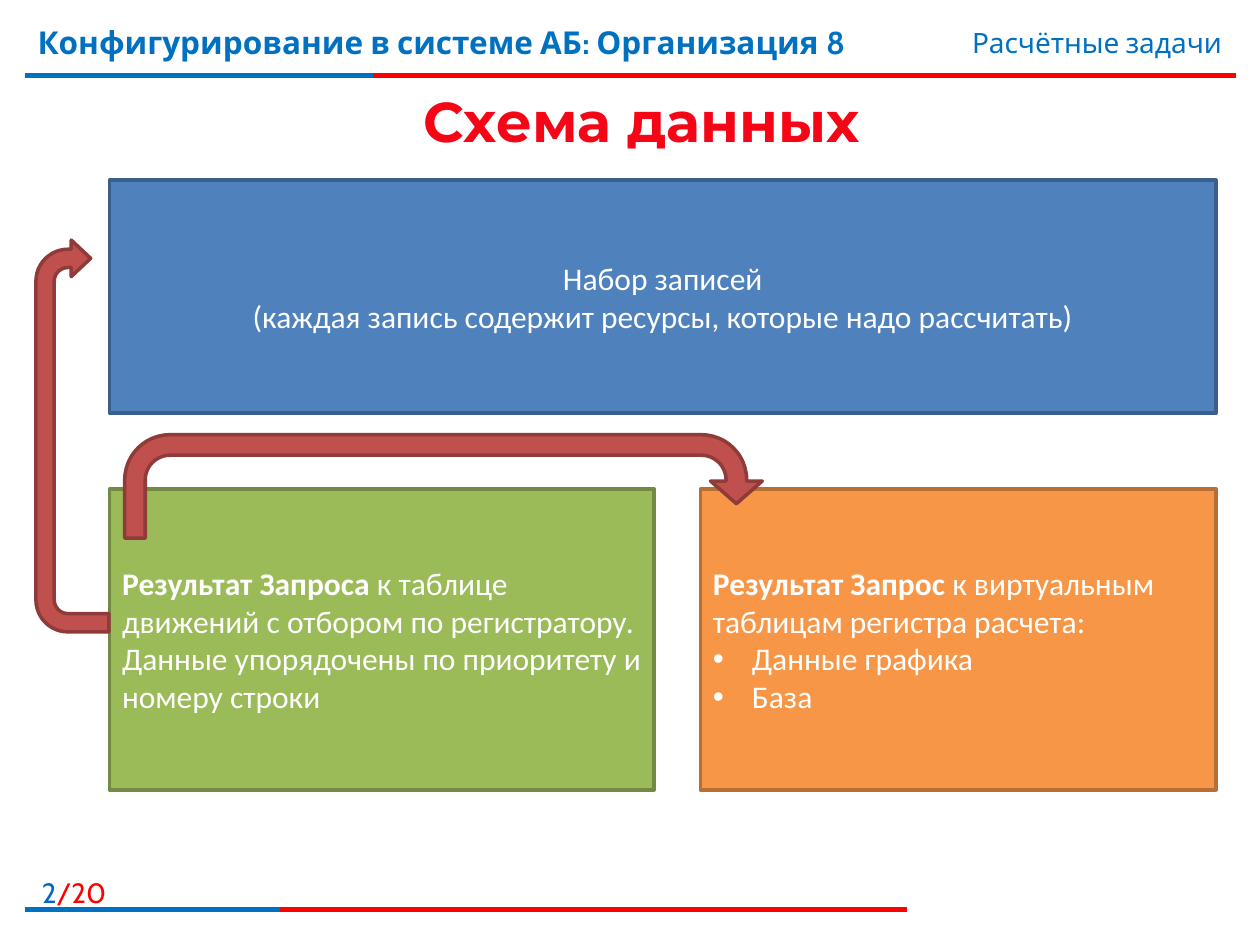
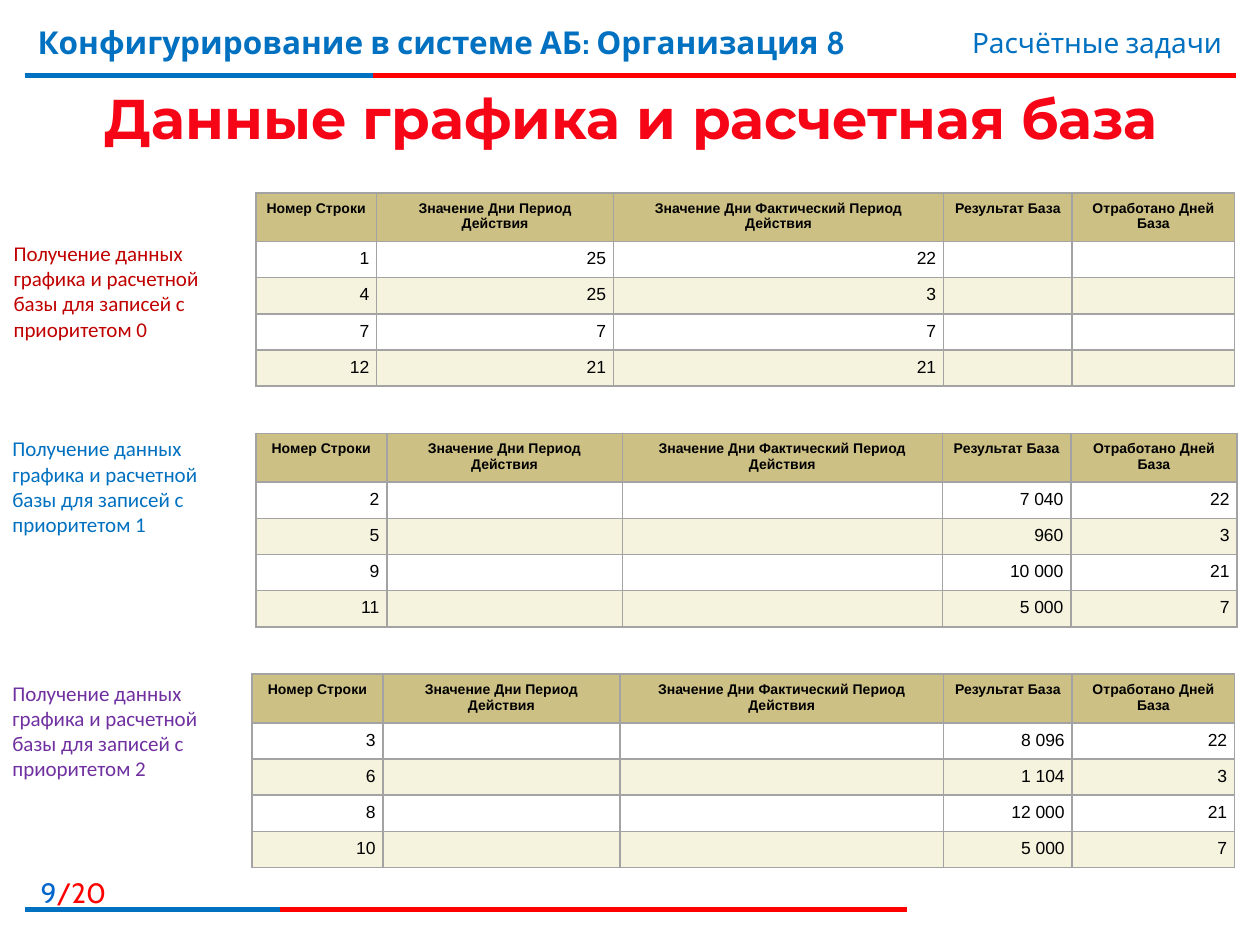
"""Build two slides on payroll calculation: a data scheme and three result tables."""
from lxml.etree import SubElement
from pptx import Presentation
from pptx.dml.color import RGBColor
from pptx.enum.shapes import MSO_CONNECTOR, MSO_SHAPE
from pptx.enum.text import MSO_ANCHOR, MSO_AUTO_SIZE, PP_ALIGN
from pptx.oxml import parse_xml
from pptx.oxml.ns import nsdecls, qn
from pptx.util import Inches, Pt

COLORS = {
    "blue": "0070C0", "page": "0066CC", "red": "FF0000", "title": "F50516",
    "white": "FFFFFF", "black": "000000",
    "set": "4F81BD", "set_line": "3A5F8C",
    "moves": "9BBB59", "moves_line": "738A42",
    "virtual": "F79646", "virtual_line": "B76F34",
    "arrow": "C0504D", "arrow_line": "8E3B39",
    "head": "CCC085", "band": "F5F2DD", "border": "A3A3A3",
    "priority0": "C00000", "priority1": "0070C0", "priority2": "7030A0",
}

COURSE = "Конфигурирование в системе АБ: Организация 8"
TOPIC = "Расчётные задачи"
TOTAL_PAGES = 20
RULES = [(0.6, 9.81, 2.96), (7.22, 7.2, 2.22)]
RULE_LEFT = 0.2

BOXES = [
    ("set", (0.87, 1.43, 8.78, 1.85), PP_ALIGN.CENTER,
     [("", "Набор записей\n(каждая запись содержит ресурсы, которые надо рассчитать)")], []),
    ("moves", (0.87, 3.88, 4.32, 2.39), PP_ALIGN.LEFT,
     [("Результат Запроса", " к таблице движений с отбором по регистратору.\n"
       "Данные упорядочены по приоритету и номеру строки")], []),
    ("virtual", (5.56, 3.88, 4.09, 2.39), PP_ALIGN.LEFT,
     [("Результат Запрос", " к виртуальным таблицам регистра расчета:")],
     ["Данные графика", "База"]),
]
ARROWS = [
    ((-0.98, 3.17, 3.11, 0.58), 270, (0.25, 0.25, 0.266, 0.438, 0.75)),
    ((0.99, 3.45, 5.06, 0.82), 0, (0.199, 0.25, 0.219, 0.438, 0.668)),
]

HEADINGS = ["Номер Строки", "Значение Дни Период Действия",
            "Значение Дни Фактический Период Действия",
            "Результат База", "Отработано Дней База"]
LABEL = "Получение данных графика и расчетной базы для записей с приоритетом {}"
TABLES = [
    {"left": 2.03, "label": (0.01, 1.86), "cols": [0.96, 1.88, 2.62, 1.02, 1.29],
     "rows": [(1, 25, 22, None, None), (4, 25, 3, None, None),
              (7, 7, 7, None, None), (12, 21, 21, None, None)]},
    {"left": 2.03, "label": (0, 3.41), "cols": [1.04, 1.87, 2.54, 1.02, 1.32],
     "rows": [(2, None, None, 7040, 22), (5, None, None, 960, 3),
              (9, None, None, 10000, 21), (11, None, None, 5000, 7)]},
    {"left": 2, "label": (0, 5.35), "cols": [1.04, 1.88, 2.57, 1.02, 1.29],
     "rows": [(3, None, None, 8096, 22), (6, None, None, 1104, 3),
              (8, None, None, 12000, 21), (10, None, None, 5000, 7)]},
]
TABLE_TOP, TABLE_STEP = 1.53, 1.91
HEAD_HEIGHT, ROW_HEIGHT = 0.36, 0.27


def rgb(name):
    return RGBColor.from_string(COLORS[name])


def inches(values):
    return [Inches(v) for v in values]


def add_text(p, text, size, font, color, bold=False):
    for i, line in enumerate(text.split("\n")):
        if i:
            p.add_line_break()
        r = p.add_run()
        r.text = line
        r.font.size, r.font.name, r.font.bold = Pt(size), font, bold
        r.font.color.rgb = rgb(color)


def add_textbox(slide, box, pieces, size, font, align=PP_ALIGN.LEFT, bold=False):
    tf = slide.shapes.add_textbox(*inches(box)).text_frame
    tf.word_wrap = True
    p = tf.paragraphs[0]
    p.alignment = align
    for text, color in pieces:
        add_text(p, text, size, font, color, bold)


def add_rule(slide, y, end, color):
    line = slide.shapes.add_connector(
        MSO_CONNECTOR.STRAIGHT, *inches((RULE_LEFT, y, end, y)))
    line.line.color.rgb = rgb(color)
    line.line.width = Pt(3)
    SubElement(line._element.spPr, qn("a:effectLst"))


def add_slide(prs, title, page, left, top):
    slide = prs.slides.add_slide(prs.slide_layouts[5])
    for y, red_end, blue_end in RULES:
        add_rule(slide, y, red_end, "red")
        add_rule(slide, y, blue_end, "blue")
    add_textbox(slide, (0, 6.9, 0.94, 0.32),
                [(str(page), "page"), (f"/{TOTAL_PAGES}", "red")],
                16, "Cabin", PP_ALIGN.RIGHT)
    add_textbox(slide, (0.2, 0.13, 7.4, 0.62), [(COURSE, "blue")], 18, "Cabin", bold=True)
    add_textbox(slide, (5.94, 0.15, 3.86, 0.37), [(TOPIC, "blue")],
                16, "Cabin", PP_ALIGN.RIGHT)
    sp = slide.shapes.title
    sp.left, sp.top, sp.width, sp.height = inches((left, top, 9.61, 0.6))
    tf = sp.text_frame
    tf.auto_size = MSO_AUTO_SIZE.NONE
    tf.vertical_anchor = MSO_ANCHOR.MIDDLE
    p = tf.paragraphs[0]
    p.alignment = PP_ALIGN.CENTER
    add_text(p, title, 32, "Montserrat", "title", True)
    return slide


def add_shape(slide, kind, box, color):
    sp = slide.shapes.add_shape(kind, *inches(box))
    sp.shadow.inherit = False
    sp.fill.solid()
    sp.fill.fore_color.rgb = rgb(color)
    sp.line.color.rgb = rgb(color + "_line")
    sp.line.width = Pt(2)
    return sp


def set_bullet(p):
    pPr = p._p.get_or_add_pPr()
    pPr.set("marL", str(Inches(0.31)))
    pPr.set("indent", str(-Inches(0.31)))
    SubElement(pPr, qn("a:buFont")).set("typeface", "Arial")
    SubElement(pPr, qn("a:buChar")).set("char", "•")


def add_box(slide, color, box, align, lead_lines, bullets):
    tf = add_shape(slide, MSO_SHAPE.RECTANGLE, box, color).text_frame
    tf.word_wrap = True
    tf.vertical_anchor = MSO_ANCHOR.MIDDLE
    p = tf.paragraphs[0]
    p.alignment = align
    for lead, rest in lead_lines:
        if lead:
            add_text(p, lead, 18, "Calibri", "white", True)
        add_text(p, rest, 18, "Calibri", "white")
    for bullet in bullets:
        p = tf.add_paragraph()
        p.alignment = align
        set_bullet(p)
        add_text(p, bullet, 18, "Calibri", "white")


def format_cell(cell, text, is_head, fill):
    cell.margin_left = cell.margin_right = Inches(0.06)
    cell.margin_top = cell.margin_bottom = Inches(0.06)
    cell.fill.solid()
    cell.fill.fore_color.rgb = rgb(fill)
    p = cell.text_frame.paragraphs[0]
    p.alignment = PP_ALIGN.CENTER if is_head else PP_ALIGN.RIGHT
    size = 8 if is_head else 10
    if text:
        add_text(p, text, size, "Arial", "black", is_head)
    p._p.get_or_add_endParaRPr().set("sz", str(size * 100))
    tcPr = cell._tc.get_or_add_tcPr()
    for i, side in enumerate("LRTB"):
        tcPr.insert(i, parse_xml(
            f'<a:ln{side} {nsdecls("a")} w="{Pt(1)}"><a:solidFill>'
            f'<a:srgbClr val="{COLORS["border"]}"/></a:solidFill></a:ln{side}>'))


def format_number(value):
    return "" if value is None else f"{value:,}".replace(",", chr(160))


def add_result_table(slide, top, spec_table):
    cols, rows = spec_table["cols"], spec_table["rows"]
    height = HEAD_HEIGHT + ROW_HEIGHT * len(rows)
    table = slide.shapes.add_table(
        len(rows) + 1, len(cols),
        *inches((spec_table["left"], top, sum(cols), height))).table
    table.first_row = table.horz_banding = False
    for column, width in zip(table.columns, cols):
        column.width = Inches(width)
    texts = [HEADINGS] + [[format_number(v) for v in row] for row in rows]
    for i, line in enumerate(texts):
        table.rows[i].height = Inches(ROW_HEIGHT if i else HEAD_HEIGHT)
        fill = "head" if i == 0 else "white" if i % 2 else "band"
        for j, text in enumerate(line):
            format_cell(table.cell(i, j), text, i == 0, fill)


def main():
    prs = Presentation()
    prs.slide_width, prs.slide_height = Inches(10), Inches(7.5)

    slide = add_slide(prs, "Схема данных", 2, 0.29, 0.65)
    for box in BOXES:
        add_box(slide, *box)
    for box, rotation, adjustments in ARROWS:
        sp = add_shape(slide, MSO_SHAPE.U_TURN_ARROW, box, "arrow")
        sp.rotation = rotation
        for i, value in enumerate(adjustments):
            sp.adjustments[i] = value

    slide = add_slide(prs, "Данные графика и расчетная база", 9, 0.21, 0.63)
    for i, result in enumerate(TABLES):
        add_result_table(slide, TABLE_TOP + i * TABLE_STEP, result)
        add_textbox(slide, (*result["label"], 2, 0.91),
                    [(LABEL.format(i), f"priority{i}")], 12, "Calibri")

    prs.save("out.pptx")


if __name__ == "__main__":
    main()
